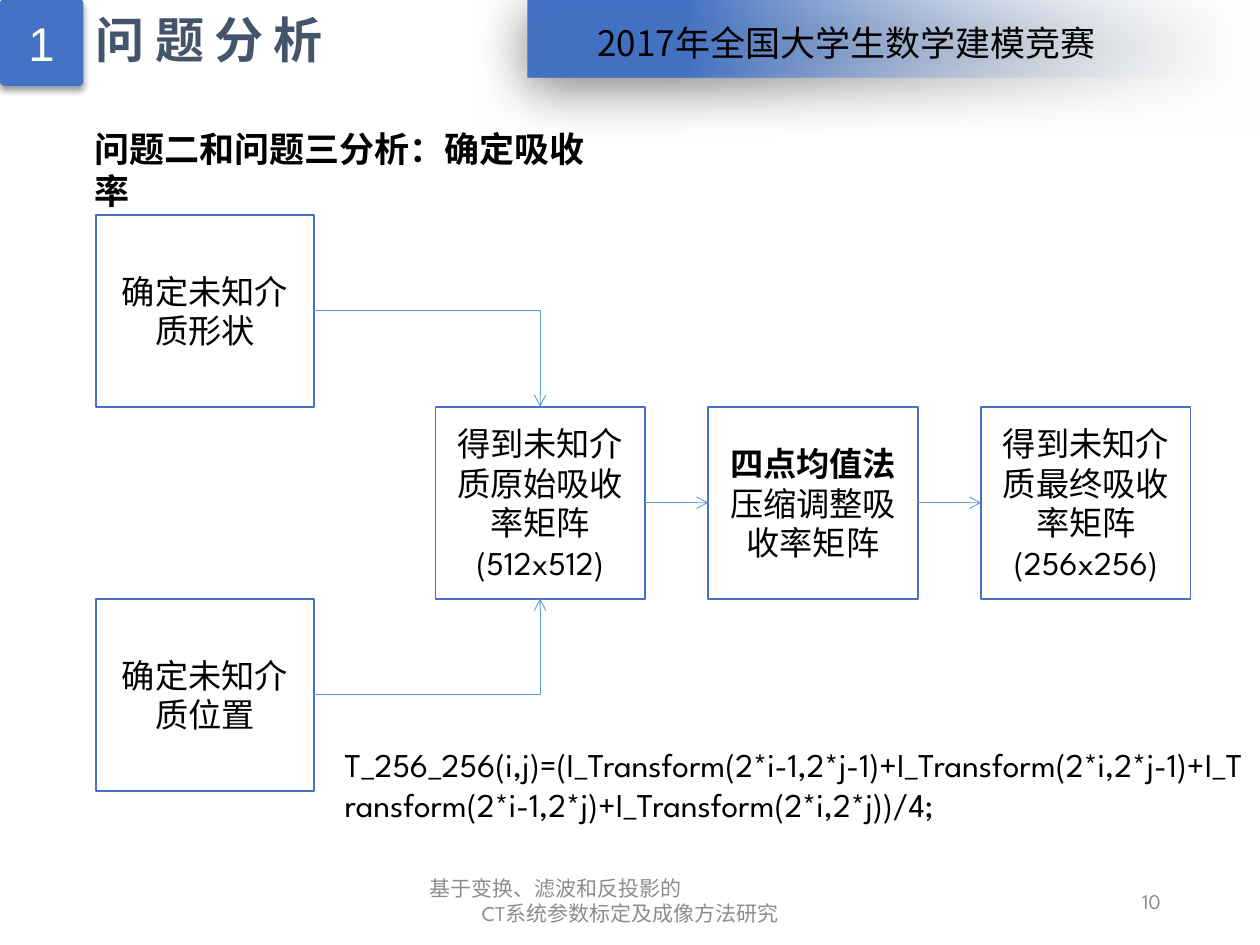
from lxml import etree
from pptx import Presentation
from pptx.dml.color import RGBColor
from pptx.enum.shapes import MSO_CONNECTOR, MSO_SHAPE
from pptx.enum.text import MSO_ANCHOR, PP_ALIGN
from pptx.oxml.ns import qn
from pptx.util import Cm, Pt

LEFT, CENTER, RIGHT = PP_ALIGN.LEFT, PP_ALIGN.CENTER, PP_ALIGN.RIGHT
TOP, MIDDLE = MSO_ANCHOR.TOP, MSO_ANCHOR.MIDDLE
RECT, ROUND_RECT = MSO_SHAPE.RECTANGLE, MSO_SHAPE.ROUNDED_RECTANGLE
PROCESS = MSO_SHAPE.FLOWCHART_PROCESS
STRAIGHT, ELBOW = MSO_CONNECTOR.STRAIGHT, MSO_CONNECTOR.ELBOW
SITE_TOP, SITE_LEFT, SITE_BOTTOM, SITE_RIGHT = range(4)

BLUE = RGBColor(0x44, 0x72, 0xC4)
PALE = RGBColor(0xF7, 0xFA, 0xFD)
ARROW = RGBColor(0x5B, 0x9B, 0xD5)
SLATE = RGBColor(0x44, 0x54, 0x6A)
GRAY = RGBColor(0x8C, 0x8C, 0x8C)
BLACK = RGBColor(0, 0, 0)
WHITE = RGBColor(0xFF, 0xFF, 0xFF)

LATIN, CJK, ARIAL = "League Spartan", "Noto Sans CJK SC", "Arial"


def sub(parent, tag, **attrs):
    return etree.SubElement(parent, qn(tag), {k: str(v) for k, v in attrs.items()})


def add_run(p, text, size, color=BLACK, name=LATIN, bold=False, spacing=0):
    r = p.add_run()
    r.text = text
    for key, value in {"size": Pt(size), "name": name, "bold": bold}.items():
        setattr(r.font, key, value)
    r.font.color.rgb = color
    rPr = r.font._element
    sub(rPr, "a:ea", typeface=CJK)
    if spacing:
        rPr.set("spc", str(spacing * 100))


def write(sp, lines, size, align=CENTER, anchor=MIDDLE, **font):
    tf = sp.text_frame
    for key, value in {"word_wrap": True, "vertical_anchor": anchor}.items():
        setattr(tf, key, value)
    for i, line in enumerate(lines):
        p = tf.add_paragraph() if i else tf.paragraphs[0]
        p.alignment = align
        add_run(p, line, size, **font)
    return tf


def add_text(slide, box, lines, size, align=LEFT, anchor=TOP, **font):
    sp = slide.shapes.add_textbox(*map(Cm, box))
    return write(sp, lines, size, align, anchor, **font)


def add_box(slide, kind, box, fill=None, line=None):
    sp = slide.shapes.add_shape(kind, *map(Cm, box))
    sp.shadow.inherit = False
    if fill is not None:
        sp.fill.solid()
        sp.fill.fore_color.rgb = fill
    if line is None:
        sp.line.fill.background()
    else:
        sp.line.color.rgb = line
        sp.line.width = Pt(1)
    return sp


def add_shadow(sp, alpha, blur, dist, angle):
    effects = sp._element.spPr.find(qn("a:effectLst"))
    shadow = sub(effects, "a:outerShdw", blurRad=Pt(blur), dist=Pt(dist),
                 dir=angle * 60000, algn="t", rotWithShape=0)
    sub(sub(shadow, "a:srgbClr", val="000000"), "a:alpha", val=alpha * 1000)


def add_arrow(slide, kind, start, start_site, end, end_site):
    cn = slide.shapes.add_connector(kind, 0, 0, 0, 0)
    cn.begin_connect(start, start_site)
    cn.end_connect(end, end_site)
    cn.line.color.rgb = ARROW
    cn.line.width = Pt(0.5)
    spPr = cn._element.spPr
    if kind == ELBOW:
        spPr.find(qn("a:prstGeom")).set("prst", "bentConnector2")
    sub(spPr.find(qn("a:ln")), "a:tailEnd", type="arrow")
    sub(spPr, "a:effectLst")


def add_title(slide, x, y, w, h):
    badge = add_box(slide, ROUND_RECT, (x, y, 1.68, h), BLUE)
    badge.adjustments[0] = 0.05
    add_shadow(badge, 40, 4, 3, 90)
    write(badge, ["1"], 27, color=WHITE, name=ARIAL)
    tf = add_text(slide, (x + 1.75, y + 0.12, w - 1.75, 1.37), ["问题分析"], 28,
                  color=SLATE, name=ARIAL, bold=True, spacing=6)
    for side, inset in {"left": 0.18, "right": 0.18, "top": 0.1, "bottom": 0.1}.items():
        setattr(tf, f"margin_{side}", Cm(inset))


def add_banner(slide, x, y, w, h):
    sp = add_box(slide, RECT, (x, y, w, h))
    sp.fill.gradient()
    sp.fill.gradient_angle = 180
    for stop, color, position in zip(sp.fill.gradient_stops, (PALE, BLUE), (0, 0.78)):
        stop.color.rgb = color
        stop.position = position
    clear = next(sp._element.spPr.iter(qn("a:srgbClr")))
    sub(clear, "a:alpha", val=0)
    add_shadow(sp, 50, 31, 6, 97)
    add_text(slide, (x + 1.15, y + 0.33, w - 3.48, 1.12),
             ["2017年全国大学生数学建模竞赛"], 20, name=CJK)


def add_flow(slide, x, y, w, h):
    row = h / 3
    input_w, stage_w, gap = 4.4, 4.22, 1.28
    first_x = x + w - 3 * stage_w - 2 * gap

    inputs = []
    for text, top in (("确定未知介质形状", y), ("确定未知介质位置", y + 2 * row)):
        sp = add_box(slide, PROCESS, (x, top, input_w, row), WHITE, BLUE)
        write(sp, [text], 19)
        inputs.append(sp)

    stages = []
    for i, (lead, text) in enumerate((("", "得到未知介质原始吸收率矩阵(512x512)"),
                                      ("四点均值法", "压缩调整吸收率矩阵"),
                                      ("", "得到未知介质最终吸收率矩阵(256x256)"))):
        left = first_x + i * (stage_w + gap)
        sp = add_box(slide, PROCESS, (left, y + row, stage_w, row), WHITE, BLUE)
        if lead:
            tf = write(sp, [lead], 19, bold=True)
            add_run(tf.paragraphs[0], text, 19)
        else:
            write(sp, [text], 19)
        stages.append(sp)

    for sp, site in zip(inputs, (SITE_TOP, SITE_BOTTOM)):
        add_arrow(slide, ELBOW, sp, SITE_RIGHT, stages[0], site)
    for start, end in zip(stages, stages[1:]):
        add_arrow(slide, STRAIGHT, start, SITE_RIGHT, end, SITE_LEFT)


def add_footer(slide, x, y, w, h):
    tf = add_text(slide, (x, y, 8.59, h),
                  ["基于变换、滤波和反投影的", "CT系统参数标定及成像方法研究"],
                  12, CENTER, MIDDLE, color=GRAY)
    tf.paragraphs[0].alignment = LEFT
    add_text(slide, (x + w - 5.72, y, 5.72, h), ["10"], 12, RIGHT, MIDDLE, color=GRAY)


def main():
    prs = Presentation()
    prs.slide_width, prs.slide_height = Cm(25.4), Cm(19.05)
    slide = prs.slides.add_slide(prs.slide_layouts[6])
    add_title(slide, 0, -0.02, 6.93, 1.75)
    add_banner(slide, 10.64, -0.02, 14.35, 1.58)
    add_text(slide, (1.65, 2.44, 11.1, 1.12), ["问题二和问题三分析：确定吸收率"], 20, bold=True)
    add_flow(slide, 1.93, 4.33, 22.07, 11.61)
    add_text(slide, (6.7, 14.88, 18.67, 1.88),
             ["T_256_256(i,j)=(I_Transform(2*i-1,2*j-1)+I_Transform(2*i,2*j-1)"
              "+I_Transform(2*i-1,2*j)+I_Transform(2*i,2*j))/4;"], 19)
    add_footer(slide, 8.41, 17.65, 15.24, 1.02)
    prs.save("out.pptx")


if __name__ == "__main__":
    main()
